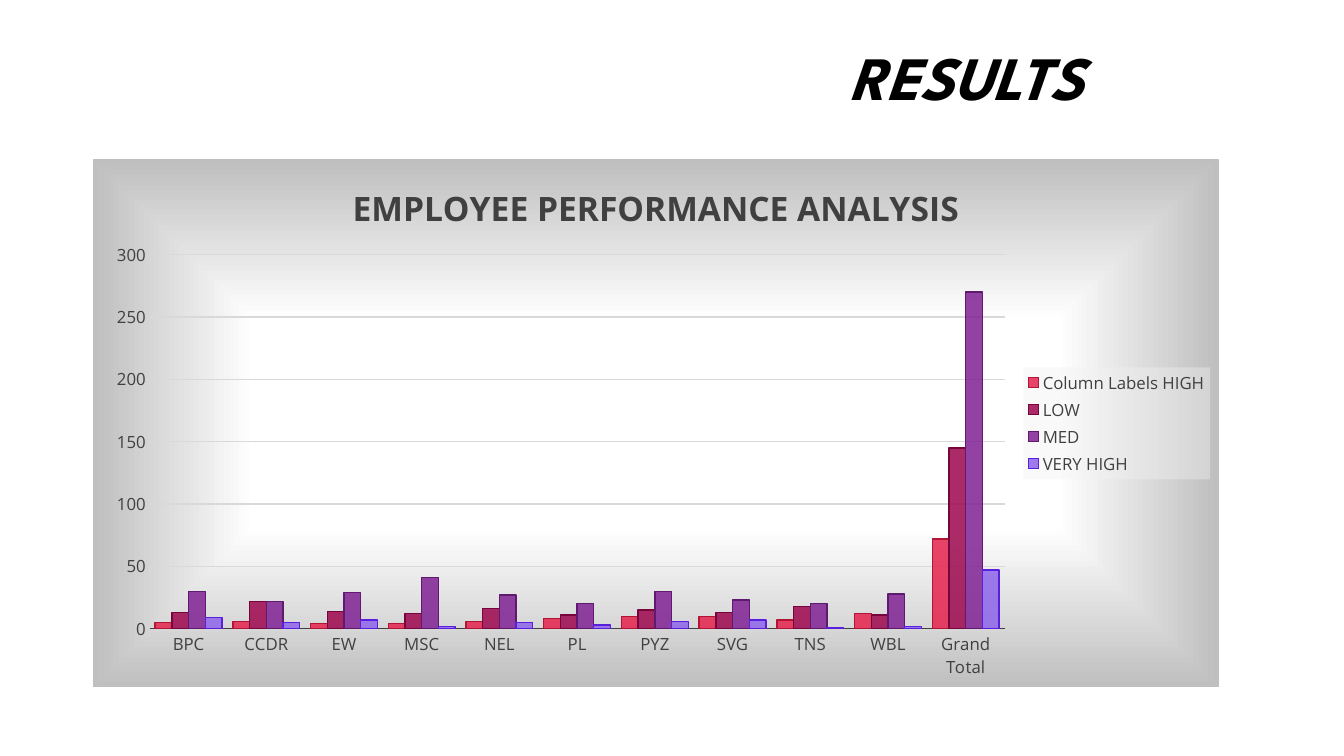
from dataclasses import dataclass

from pptx import Presentation
from pptx.chart.data import CategoryChartData
from pptx.dml.color import RGBColor
from pptx.enum import chart as ch, text
from pptx.oxml import parse_xml
from pptx.oxml.ns import nsdecls
from pptx.util import Inches, Pt

HEADING = "RESULTS"
CHART_TITLE = "EMPLOYEE PERFORMANCE ANALYSIS"
UNITS = ["BPC", "CCDR", "EW", "MSC", "NEL", "PL", "PYZ", "SVG", "TNS", "WBL", "Grand Total"]
RATINGS = [
    ("Column Labels HIGH", (5, 6, 4, 4, 6, 8, 10, 10, 7, 12, 72), "E5224E", "B11536"),
    ("LOW", (13, 22, 14, 12, 16, 11, 15, 13, 18, 11, 145), "9D074E", "75053A"),
    ("MED", (30, 22, 29, 41, 27, 20, 30, 23, 20, 28, 270), "7F2294", "5F196F"),
    ("VERY HIGH", (9, 5, 7, 2, 5, 3, 6, 7, 1, 2, 47), "8D65EA", "591EDE"),
]
HEADING_BOX = (8.33, 0.33, 4.92, 0.84)
CHART_BOX = (0.92, 1.58, 11.17, 5.24)
PLOT_AREA = {"x": 0.05, "y": 0.18, "w": 0.76, "h": 0.71}


@dataclass(frozen=True)
class Theme:
    heading_font: str = "League Spartan"
    chart_font: str = "Open Sans"
    heading_size: int = 44
    chart_title_size: int = 24
    label_size: int = 12
    black: str = "000000"
    ink: str = "404040"
    grid: str = "D9D9D9"
    edge: str = "BFBFBF"
    center: str = "FFFFFF"
    legend: str = "F2F2F2"
    legend_opacity: int = 39
    bar_opacity: int = 85


THEME = Theme()


def style_font(font, name, size, color, bold=False, italic=False):
    font.name, font.size = name, Pt(size)
    font.bold, font.italic = bold, italic
    font.color.rgb = RGBColor.from_string(color)


def style_line(line, color):
    line.color.rgb = RGBColor.from_string(color)
    line.width = Pt(1)


def add_heading(slide):
    heading = slide.shapes.title
    heading.left, heading.top, heading.width, heading.height = map(Inches, HEADING_BOX)
    frame = heading.text_frame
    frame.text = HEADING
    frame.word_wrap = True
    frame.auto_size = text.MSO_AUTO_SIZE.NONE
    frame.vertical_anchor = text.MSO_ANCHOR.MIDDLE
    paragraph = frame.paragraphs[0]
    paragraph.alignment = text.PP_ALIGN.LEFT
    style_font(paragraph.font, THEME.heading_font, THEME.heading_size, THEME.black, True, True)


def style_background(chart):
    stops = "".join(
        f'<a:gs pos="{position * 1000}"><a:srgbClr val="{color}"/></a:gs>'
        for position, color in ((0, THEME.center), (39, THEME.center), (100, THEME.edge))
    )
    background = parse_xml(
        f'<c:spPr {nsdecls("c", "a")}><a:gradFill><a:gsLst>{stops}</a:gsLst>'
        '<a:path path="rect"><a:fillToRect l="50000" t="50000" r="50000" b="50000"/></a:path>'
        f'</a:gradFill><a:ln w="{Pt(1)}"><a:solidFill><a:srgbClr val="{THEME.edge}"/>'
        '</a:solidFill></a:ln></c:spPr>'
    )
    chart._chartSpace.find("{*}chart").addnext(background)


def place_plot(chart):
    area = chart._chartSpace.find(".//{*}plotArea")
    for layout in area.findall("{*}layout"):
        area.remove(layout)
    sizes = "".join(f'<c:{side} val="{share}"/>' for side, share in PLOT_AREA.items())
    area.insert(0, parse_xml(
        f'<c:layout {nsdecls("c")}><c:manualLayout><c:layoutTarget val="inner"/>'
        f'<c:xMode val="edge"/><c:yMode val="edge"/>{sizes}</c:manualLayout></c:layout>'
    ))


def style_legend(chart):
    chart.has_legend = True
    legend = chart.legend
    legend.position = ch.XL_LEGEND_POSITION.RIGHT
    legend.include_in_layout = False
    style_font(legend.font, THEME.chart_font, THEME.label_size, THEME.ink)
    legend._element.find("{*}overlay").addnext(parse_xml(
        f'<c:spPr {nsdecls("c", "a")}><a:solidFill><a:srgbClr val="{THEME.legend}">'
        f'<a:alpha val="{THEME.legend_opacity * 1000}"/></a:srgbClr></a:solidFill></c:spPr>'
    ))


def add_performance_chart(slide):
    data = CategoryChartData()
    data.categories = UNITS
    for name, counts, _, _ in RATINGS:
        data.add_series(name, counts)
    chart = slide.shapes.add_chart(
        ch.XL_CHART_TYPE.COLUMN_CLUSTERED, *map(Inches, CHART_BOX), data
    ).chart
    style_font(chart.font, THEME.chart_font, THEME.label_size, THEME.ink)

    chart.has_title = True
    chart.chart_title.include_in_layout = False
    chart.chart_title.text_frame.text = CHART_TITLE
    title = chart.chart_title.text_frame.paragraphs[0]
    style_font(title.font, THEME.chart_font, THEME.chart_title_size, THEME.ink, True)

    for axis in (chart.category_axis, chart.value_axis):
        axis.major_tick_mark = axis.minor_tick_mark = ch.XL_TICK_MARK.NONE
        style_font(axis.tick_labels.font, THEME.chart_font, THEME.label_size, THEME.ink)
    style_line(chart.category_axis.format.line, THEME.ink)
    counts_axis = chart.value_axis
    counts_axis.minimum_scale, counts_axis.maximum_scale, counts_axis.major_unit = 0, 300, 50
    counts_axis.format.line.fill.background()
    counts_axis.has_major_gridlines = True
    style_line(counts_axis.major_gridlines.format.line, THEME.grid)

    plot = chart.plots[0]
    plot.gap_width, plot.overlap, plot.vary_by_categories = 65, 0, False
    for rating, (_, _, color, outline) in zip(plot.series, RATINGS):
        rating.format.fill.solid()
        rating.format.fill.fore_color.rgb = RGBColor.from_string(color)
        style_line(rating.format.line, outline)
        tint = rating._element.find("{*}spPr/{*}solidFill/{*}srgbClr")
        tint.append(parse_xml(f'<a:alpha {nsdecls("a")} val="{THEME.bar_opacity * 1000}"/>'))

    style_legend(chart)
    style_background(chart)
    place_plot(chart)


def main():
    deck = Presentation()
    deck.slide_width, deck.slide_height = Inches(13.33), Inches(7.5)
    slide = deck.slides.add_slide(deck.slide_layouts[5])
    add_performance_chart(slide)
    add_heading(slide)
    deck.save("out.pptx")


if __name__ == "__main__":
    main()
